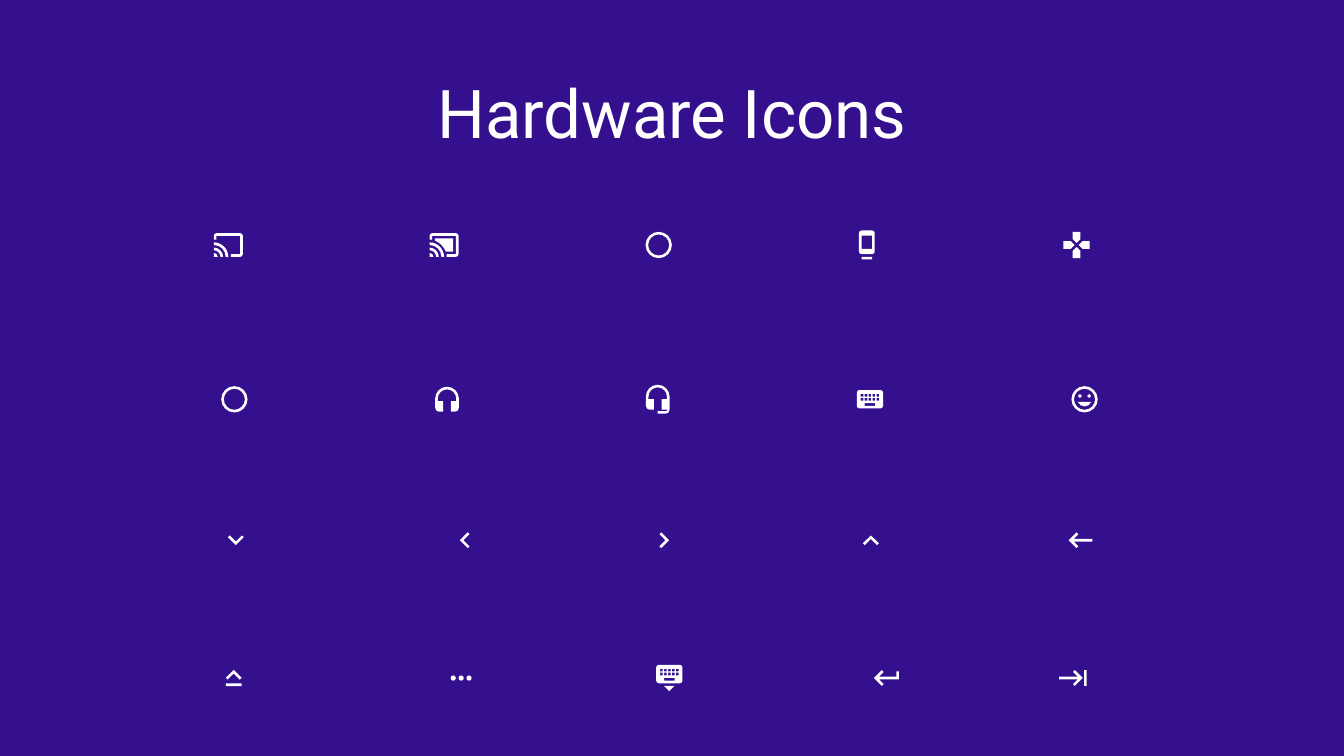
"""Build the Hardware Icons slide: a title over four rows of five icons."""
from pptx import Presentation
from pptx.dml.color import RGBColor
from pptx.enum.text import MSO_ANCHOR, PP_ALIGN
from pptx.oxml.ns import qn
from pptx.oxml.xmlchemy import OxmlElement
from pptx.util import Pt

MIDDLE = MSO_ANCHOR.MIDDLE
CENTER = PP_ALIGN.CENTER
COLORS = {"background": "34108E", "icon": "FFFFFF", "title": "FFFFFF"}
TITLE = "Hardware Icons"
UNIT = 0.94
KAPPA = 0.55

WAVES = [
    [(1, 18), (4, 18, 3), (4, 21), (1, 21)],
    [(1, 14), (8, 14, 7), (8, 21), (6, 21), (6, 16, 5), (1, 16)],
    [(1, 10), (12, 10, 11), (12, 21), (10, 21), (10, 12, 9), (1, 12)],
]
CAST = WAVES + [[(1, 3, 2), (23, 3, 2), (23, 21, 2), (14, 21), (14, 19),
                 (21, 19), (21, 5), (3, 5), (3, 8), (1, 8)]]
CAST_CONNECTED = CAST + [[(5, 7), (19, 7), (19, 17), (13.37, 17),
                          (11.2, 10.8, 6.5), (5, 8.63)]]
RING = [(2, 2, 20, 20, 10), (4, 4, 16, 16, 8)]
DOCK = [(6, 1, 12, 18, 2), (8, 5, 8, 10, 0), (8, 21, 8, 2, 0)]
GAMEPAD = [
    [(9, 2), (15, 2), (15, 7.5), (12, 10.5), (9, 7.5)],
    [(2, 9), (7.5, 9), (10.5, 12), (7.5, 15), (2, 15)],
    [(9, 22), (9, 16.5), (12, 13.5), (15, 16.5), (15, 22)],
    [(22, 9), (22, 15), (16.5, 15), (13.5, 12), (16.5, 9)],
]
BAND = [(15, 20), (15, 12), (19, 12), (19, 3, 7), (5, 3, 7), (5, 12),
        (9, 12), (9, 20), (3, 20, 3), (3, 1, 9), (21, 1, 9)]
HEADPHONES = [BAND + [(21, 20, 3)]]
HEADSET = [BAND + [(21, 23, 3), (12, 23), (12, 21), (19, 21), (19, 20)]]
KEYS = [(x, y, 2, 2, 0) for x in range(5, 18, 3) for y in (8, 11)]
KEYBOARD = [(2, 5, 20, 14, 2), (8, 15, 8, 2, 0)] + KEYS
KEYBOARD_HIDE = KEYBOARD + [[(8, 21), (16, 21), (12, 25)]]
SMILEY = RING + [
    (7, 8, 3, 3, 1.5), (14, 8, 3, 3, 1.5),
    [(6.9, 14), (17.1, 14), (15.6, 17.5, 3.6), (8.4, 17.5, 3.6)],
]
CHEVRON = [(1.4, 0), (6, 4.6), (10.6, 0), (12, 1.4), (6, 7.4), (0, 1.4)]
DOWN = [CHEVRON]
LEFT = [[(-y, x) for x, y in CHEVRON]]
RIGHT = [[(y, x) for x, y in CHEVRON]]
UP = [[(x, -y) for x, y in CHEVRON]]
CAPS_LOCK = UP + [(0, 3, 12, 2, 0)]
ARROW = [(6.83, 13), (10.41, 16.59), (9, 18), (3, 12), (9, 6),
         (10.41, 7.41), (6.83, 11)]
BACKSPACE = [ARROW + [(21, 11), (21, 13)]]
RETURN = [ARROW + [(20, 11), (20, 7), (22, 7), (22, 13)]]
TAB = [[(22 - x, y) for x, y in ARROW + [(21, 11), (21, 13)]],
       (20, 6, 2, 12, 0)]
MORE = [(x, 10, 4, 4, 2) for x in (4, 10, 16)]

ICON_ROWS = [
    (175, [(163.1, CAST), (317.2, CAST_CONNECTED), (470.5, RING),
           (619.2, DOCK), (769, GAMEPAD)]),
    (285.2, [(167.4, RING), (319.3, HEADPHONES), (469.8, HEADSET),
             (621.4, KEYBOARD), (774.7, SMILEY)]),
    (385.9, [(168.5, DOWN), (331.9, LEFT), (474.5, RIGHT),
             (622.1, UP), (771.8, BACKSPACE)]),
    (484.3, [(167, CAPS_LOCK), (329.4, MORE), (478.1, KEYBOARD_HIDE),
             (633.2, RETURN), (766.4, TAB)]),
]


def toward(start, end, distance, bends=False):
    dx, dy = end[0] - start[0], end[1] - start[1]
    share = distance / (dx * dx + dy * dy) ** 0.5
    return round(start[0] + dx * share, 2), round(start[1] + dy * share, 2), bends


def corner_points(before, corner, after):
    radius = corner[2] if len(corner) > 2 else 0
    if not radius:
        return [(*corner[:2], False)]
    handle = radius * (1 - KAPPA)
    return [toward(corner, before, radius), toward(corner, before, handle, True),
            toward(corner, after, handle), toward(corner, after, radius)]


def trace(outline):
    if isinstance(outline, tuple):
        x, y, width, height, r = outline
        outline = [(x, y, r), (x + width, y, r),
                   (x + width, y + height, r), (x, y + height, r)]
    contour = []
    for i, corner in enumerate(outline):
        after = outline[(i + 1) % len(outline)]
        points = corner_points(outline[i - 1], corner, after)
        contour += points[1:] if contour and contour[-1] == points[0] else points
    return contour


def bend_corners(icon, points):
    path_element = next(icon.element.iter(qn("a:path")))
    steps = [step for step in path_element if step.tag != qn("a:close")]
    for i, (_, _, bends) in enumerate(points):
        if bends:
            curve = OxmlElement("a:cubicBezTo")
            steps[i].addprevious(curve)
            for step in steps[i:i + 3]:
                curve.append(step[0])
                path_element.remove(step)


def add_icon(slide, outlines, center_x, center_y):
    contours = [trace(outline) for outline in outlines]
    points = [point for contour in contours for point in contour]
    xs, ys, _ = zip(*points)
    middle_x, middle_y = (min(xs) + max(xs)) / 2, (min(ys) + max(ys)) / 2
    placed = [[(Pt(center_x + (x - middle_x) * UNIT),
                Pt(center_y + (y - middle_y) * UNIT)) for x, y, _ in contour]
              for contour in contours]
    builder = slide.shapes.build_freeform(*placed[0][0], scale=1.0)
    builder.add_line_segments(placed[0][1:], close=True)
    for contour in placed[1:]:
        builder.move_to(*contour[0])
        builder.add_line_segments(contour[1:], close=True)
    icon = builder.convert_to_shape()
    bend_corners(icon, points)
    icon.shadow.inherit = False
    icon.fill.solid()
    icon.fill.fore_color.rgb = RGBColor.from_string(COLORS["icon"])
    icon.line.fill.background()


def add_text(slide, text, *, left, top, width, height, size, color, font):
    box = slide.shapes.add_textbox(Pt(left), Pt(top), Pt(width), Pt(height))
    frame = box.text_frame
    frame.word_wrap = True
    frame.vertical_anchor = MIDDLE
    paragraph = frame.paragraphs[0]
    paragraph.alignment = CENTER
    paragraph.line_spacing = 0.9
    run = paragraph.add_run()
    run.text = text
    run.font.size = Pt(size)
    run.font.name = font
    run.font.color.rgb = RGBColor.from_string(color)


def main():
    deck = Presentation()
    deck.slide_width, deck.slide_height = Pt(960), Pt(540)
    slide = deck.slides.add_slide(deck.slide_layouts[6])
    slide.background.fill.solid()
    slide.background.fill.fore_color.rgb = RGBColor.from_string(COLORS["background"])
    add_text(slide, TITLE, left=66, top=59, width=828, height=49,
             size=48, color=COLORS["title"], font="Roboto")
    for center_y, icons in ICON_ROWS:
        for center_x, outlines in icons:
            add_icon(slide, outlines, center_x, center_y)
    deck.save("out.pptx")


if __name__ == "__main__":
    main()
